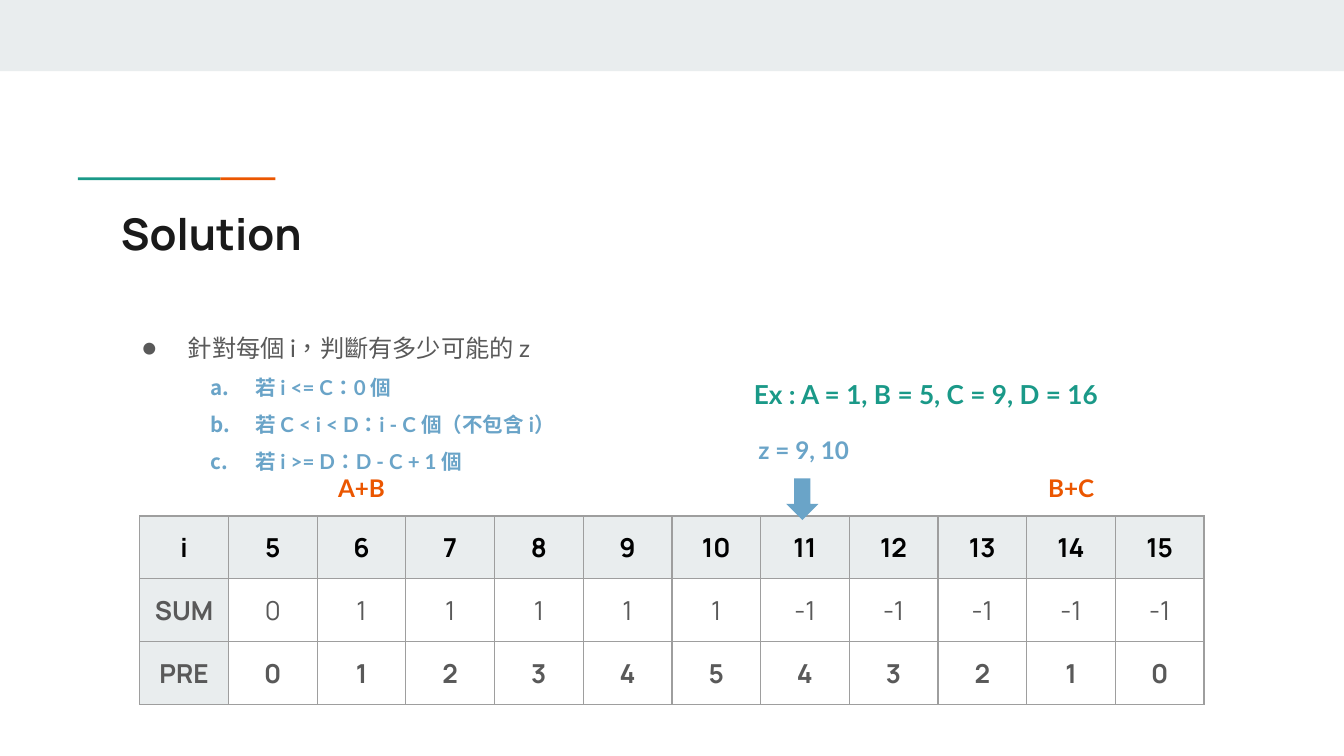
"""Build the Solution slide with its rules, example and prefix table."""
from lxml import etree
from pptx import Presentation
from pptx.dml.color import RGBColor
from pptx.enum.lang import MSO_LANGUAGE_ID
from pptx.enum.shapes import MSO_SHAPE
from pptx.enum.text import MSO_ANCHOR, MSO_AUTO_SIZE, PP_ALIGN
from pptx.oxml.ns import qn
from pptx.util import Inches, Pt

RECT, ARROW = MSO_SHAPE.RECTANGLE, MSO_SHAPE.DOWN_ARROW
LEFT, CENTER = PP_ALIGN.LEFT, PP_ALIGN.CENTER
TOP, FIXED = MSO_ANCHOR.TOP, MSO_AUTO_SIZE.NONE
CHINESE = MSO_LANGUAGE_ID.TRADITIONAL_CHINESE
HEAD, BODY = "Manrope", "Lato"
COLORS = {
    "band": "E9EDEE", "orange": "EB5600", "teal": "1A9988", "blue": "6AA4C8",
    "gray": "595959", "dark": "1A1A1A", "black": "000000", "white": "FFFFFF",
    "grid": "9E9E9E",
}


def color(name):
    """Return the named colour."""
    return RGBColor.from_string(COLORS[name])


class Deck:
    """Style and current slide."""

    def __init__(self):
        """Start a wide deck with one title-only slide."""
        self.prs = Presentation()
        self.prs.slide_width = Inches(10)
        self.prs.slide_height = Inches(10 * 9 / 16)
        self.slide = self.prs.slides.add_slide(self.prs.slide_layouts[5])

    def style(self, para, size, tone, bold=True, face=BODY, align=LEFT):
        """Set the font and alignment of a paragraph."""
        font = para.font
        font.name, font.size, font.bold = face, Pt(size), bold
        font.color.rgb = color(tone)
        para.alignment = align

    def inset(self, item):
        """Set even margins on a frame or cell."""
        item.margin_left = item.margin_right = Inches(0.1)
        item.margin_top = item.margin_bottom = Inches(0.1)

    def frame(self, frame):
        """Set wrapping, margins and top anchoring."""
        frame.word_wrap = True
        frame.auto_size = FIXED
        frame.vertical_anchor = TOP
        self.inset(frame)

    def shape(self, kind, box, tone):
        """Add a plain filled shape."""
        item = self.slide.shapes.add_shape(kind, *map(Inches, box))
        item.shadow.inherit = False
        item.fill.solid()
        item.fill.fore_color.rgb = color(tone)
        item.line.fill.background()

    def title(self, text, box):
        """Place and format the title."""
        item = self.slide.shapes.title
        item.left, item.top, item.width, item.height = map(Inches, box)
        self.frame(item.text_frame)
        item.text_frame.text = text
        self.style(item.text_frame.paragraphs[0], 23.4, "dark", face=HEAD)

    def text(self, text, box, tone, size=13, align=CENTER):
        """Add a text box and return its paragraph."""
        item = self.slide.shapes.add_textbox(*map(Inches, box))
        self.frame(item.text_frame)
        para = item.text_frame.paragraphs[0]
        para.text = text
        self.style(para, size, tone, align=align)
        return para

    def bullet(self, para, left, hang, tag, **attrs):
        """Give a paragraph a hanging bullet."""
        props = para._p.get_or_add_pPr()
        props.set("marL", str(Inches(left)))
        props.set("indent", str(-Inches(hang)))
        etree.SubElement(props, qn("a:buFont"), typeface=BODY)
        etree.SubElement(props, qn(tag), **attrs)

    def rules(self, lead, items, box):
        """Add a lead bullet with lettered items."""
        item = self.slide.shapes.add_textbox(*map(Inches, box))
        frame = item.text_frame
        self.frame(frame)
        frame.text = "\n".join([lead, *items])
        for para in frame.paragraphs:
            para.line_spacing = 1.5
            para.runs[0].font.language_id = CHINESE
        first, *rest = frame.paragraphs
        self.bullet(first, 0.5, 0.34, "a:buChar", char="●")
        self.style(first, 13, "gray", bold=False)
        for para in rest:
            para.level = 1
            self.bullet(para, 1, 0.33, "a:buAutoNum", type="alphaLcPeriod")
            self.style(para, 11, "blue")

    def border(self, cell):
        """Draw thin lines on all sides of a cell."""
        props = cell._tc.get_or_add_tcPr()
        for side in ("a:lnL", "a:lnR", "a:lnT", "a:lnB"):
            line = etree.SubElement(props, qn(side), w=str(Pt(0.75)))
            fill = etree.SubElement(line, qn("a:solidFill"))
            etree.SubElement(fill, qn("a:srgbClr"), val=COLORS["grid"])

    def table(self, rows, left, top, wide, high):
        """Add a table with a shaded first row and column."""
        count = len(rows[0])
        item = self.slide.shapes.add_table(
            len(rows), count, Inches(left), Inches(top),
            Inches(wide * count), Inches(high * len(rows)))
        for r, row in enumerate(rows):
            for c, value in enumerate(row):
                cell = item.table.cell(r, c)
                cell.text = str(value)
                self.inset(cell)
                self.border(cell)
                cell.fill.solid()
                shade = "band" if r == 0 or c == 0 else "white"
                cell.fill.fore_color.rgb = color(shade)
                self.style(cell.text_frame.paragraphs[0], 14,
                           "gray" if r else "black",
                           r != 1 or c == 0, HEAD, CENTER)


def main():
    """Build and save the slide."""
    deck = Deck()
    deck.shape(RECT, (0, 0, 10, 0.53), "band")
    deck.shape(RECT, (0.58, 1.32, 1.06, 0.02), "teal")
    deck.shape(RECT, (1.64, 1.32, 0.41, 0.02), "orange")
    deck.rules("針對每個 i，判斷有多少可能的 z",
               ["若 i <= C：0 個",
                "若 C < i < D：i - C 個（不包含 i）",
                "若 i >= D：D - C + 1 個"],
               (0.8, 2.27, 8.41, 1.43))
    deck.title("Solution", (0.8, 1.44, 8.41, 0.59))
    case = deck.text("Ex : A = 1, B = 5, C = 9, D = 16",
                     (5.51, 2.68, 3.99, 0.51), "teal", 14, LEFT)
    case.line_spacing = 1.15
    deck.table([["i", *range(5, 16)],
                ["SUM", 0, *[1] * 5, *[-1] * 5],
                ["PRE", *range(6), *range(4, -1, -1)]],
               1.04, 3.84, 0.66, 0.42)
    for label, left in (("A+B", 2.36), ("B+C", 7.64)):
        deck.text(label, (left, 3.42, 0.66, 0.42), "orange")
    deck.shape(ARROW, (5.85, 3.56, 0.24, 0.31), "blue")
    deck.text("z = 9, 10", (5.51, 3.14, 0.94, 0.42), "blue")
    deck.prs.save("out.pptx")


if __name__ == "__main__":
    main()
